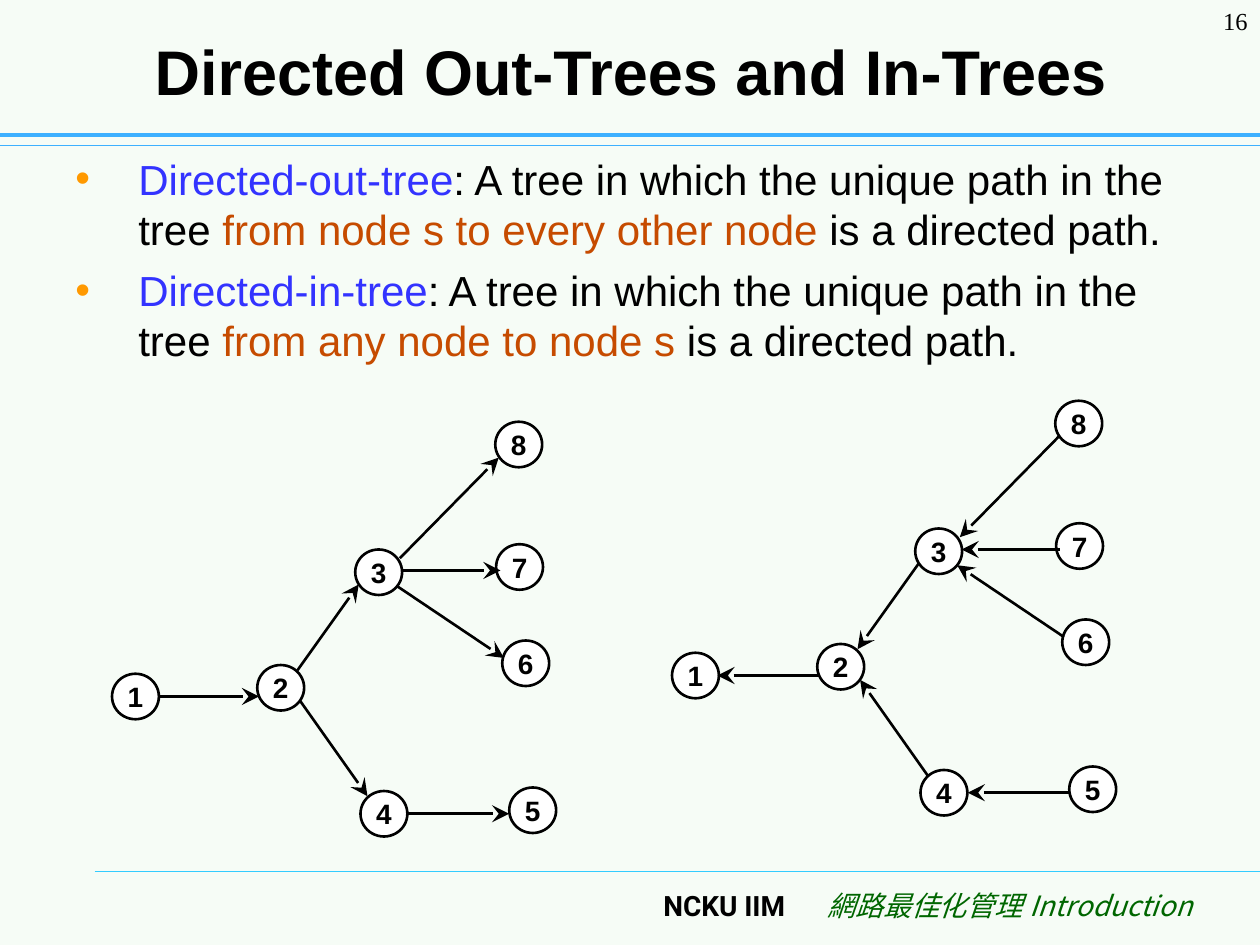
import pptx
import pptx.dml.color
import pptx.enum.shapes
import pptx.enum.text
import pptx.oxml
import pptx.oxml.ns
import pptx.util

Pt = pptx.util.Pt
ALIGN = pptx.enum.text.PP_ALIGN
ANCHOR = pptx.enum.text.MSO_ANCHOR
LINE = pptx.enum.shapes.MSO_CONNECTOR.STRAIGHT
OVAL = pptx.enum.shapes.MSO_SHAPE.OVAL

THEME = {
    "back": "F6FCF6", "ink": "000000", "node": "FFFFFF",
    "rule": "3DB0FF", "foot": "33CCFF", "bullet": "FF9900",
    "stroke": 1.5,
    "title": {"name": "Arial", "size": Pt(36), "bold": True, "color": "000000"},
    "text": {"name": "Arial", "size": Pt(24), "color": "000000"},
    "term": {"name": "Arial", "size": Pt(24), "color": "3333FF"},
    "key": {"name": "Arial", "size": Pt(24), "color": "C64B00"},
    "label": {"name": "Arial", "size": Pt(16), "bold": True, "color": "000000"},
    "page": {"name": "Times New Roman", "size": Pt(14), "color": "000000"},
    "school": {"name": "Roboto", "size": Pt(16), "bold": True, "color": "000000"},
    "course": {"name": "Noto Sans CJK SC", "size": Pt(16), "italic": True,
               "color": "006600"},
}

# Each paragraph is a list of (style, text) runs.
TITLE = [[("title", "Directed Out-Trees and In-Trees")]]
PAGE = [[("page", "16")]]
FOOTER = [[("school", "NCKU IIM\t"), ("course", "網路最佳化管理 Introduction")]]
BODY = [
    [("term", term), ("text", ": A tree in which the unique path in the tree "),
     ("key", key), ("text", " is a directed path.")]
    for term, key in [
        ("Directed-out-tree", "from node s to every other node"),
        ("Directed-in-tree", "from any node to node s"),
    ]
]

# Rules: left end, height, colour, weight; all run to the right edge.
RULES = [(54, 498.2, "foot", 0.75), (0, 83.3, "rule", 0.75), (0, 77, "rule", 2.5)]

WIDE, HIGH = 26.8, 26
NODES = {  # left, top
    1: (64, 385), 2: (147, 380), 3: (203, 314), 4: (206, 452),
    5: (291, 450), 6: (287, 366), 7: (283.5, 311), 8: (283, 241),
}
EDGES = [  # from x, y to x, y, pointing away from node 1
    (90, 398, 148, 398), (171.5, 400.5, 210, 455), (170, 383, 205, 334),
    (233, 465, 291, 465), (229.5, 326, 286, 326), (227, 335, 288, 376),
    (228.5, 319, 285, 261.5),
]
# Shift right, shift down, arrowhead end: tailEnd leads out, headEnd leads in.
TREES = [(0, 0, "tailEnd"), (320, -12, "headEnd")]


def color(key):
    return pptx.dml.color.RGBColor.from_string(THEME.get(key, key))


def mark(tag, **attrs):
    node = pptx.oxml.parse_xml(f'<a:{tag} {pptx.oxml.ns.nsdecls("a")}/>')
    for name, value in attrs.items():
        node.set(name, value)
    return node


def write(frame, paras, align=ALIGN.LEFT, prep=None):
    """Fill a text frame with styled runs; prep adds bullets or tabs first."""
    for num, runs in enumerate(paras):
        para = frame.add_paragraph() if num else frame.paragraphs[0]
        para.alignment = align
        if num:
            para.space_before = Pt(6)
        if prep:
            prep(para._p.get_or_add_pPr())
        for style, text in runs:
            run = para.add_run()
            run.text = text
            for name, value in THEME[style].items():
                if name == "color":
                    run.font.color.rgb = color(value)
                else:
                    setattr(run.font, name, value)
            face = THEME[style]["name"]
            run._r.get_or_add_rPr().append(mark("ea", typeface=face))


def box(shapes, area, paras, anchor=ANCHOR.TOP, **kwargs):
    frame = shapes.add_textbox(*map(Pt, area)).text_frame
    frame.word_wrap = True
    frame.vertical_anchor = anchor
    write(frame, paras, **kwargs)


def bullet(props):
    props.set("marL", str(Pt(36)))
    props.set("indent", str(-Pt(36)))
    tint = mark("buClr")
    tint.append(mark("srgbClr", val=THEME["bullet"]))
    props.append(tint)
    props.append(mark("buFont", typeface=THEME["text"]["name"]))
    props.append(mark("buChar", char="•"))


def tab(props):
    stops = mark("tabLst")
    stops.append(mark("tab", pos=str(Pt(93.7)), algn="l"))
    props.append(stops)


def line(shapes, ends, tint, weight, arrow=None):
    link = shapes.add_connector(LINE, *map(Pt, ends))
    link.line.color.rgb = color(tint)
    link.line.width = Pt(weight)
    if arrow:
        tip = mark(arrow, type="stealth", w="lg", len="lg")
        link.line._get_or_add_ln().append(tip)
    link._element.spPr.append(mark("effectLst"))


def disc(shapes, left, top, num):
    node = shapes.add_shape(OVAL, Pt(left), Pt(top), Pt(WIDE), Pt(HIGH))
    node.shadow.inherit = False
    node.fill.solid()
    node.fill.fore_color.rgb = color("node")
    node.line.color.rgb = color("ink")
    node.line.width = Pt(THEME["stroke"])
    frame = node.text_frame
    for side in ("left", "right", "top", "bottom"):
        setattr(frame, f"margin_{side}", 0)
    frame.word_wrap = False
    frame.vertical_anchor = ANCHOR.MIDDLE
    write(frame, [[("label", str(num))]], ALIGN.CENTER)


def tree(slide, right, down, arrow):
    shapes = slide.shapes.add_group_shape().shapes
    for num, (left, top) in NODES.items():
        disc(shapes, left + right, top + down, num)
    for x1, y1, x2, y2 in EDGES:
        ends = (x1 + right, y1 + down, x2 + right, y2 + down)
        # A headEnd arrow sits at the start, so it points back to node 1.
        line(shapes, ends, "ink", THEME["stroke"], arrow)


def main():
    deck = pptx.Presentation()
    deck.slide_width, deck.slide_height = Pt(720), Pt(540)
    slide = deck.slides.add_slide(deck.slide_layouts[6])
    slide.background.fill.solid()
    slide.background.fill.fore_color.rgb = color("back")
    shapes = slide.shapes

    for left, y, tint, weight in RULES:
        line(shapes, (left, y, 720, y), tint, weight)
    box(shapes, (372, 504, 340, 36), FOOTER, prep=tab)
    box(shapes, (660, 0, 60, 36), PAGE, align=ALIGN.RIGHT)
    box(shapes, (36.5, 9, 648, 62.5), TITLE, ANCHOR.MIDDLE, align=ALIGN.CENTER)
    box(shapes, (36, 84, 654, 144), BODY, prep=bullet)
    for right, down, arrow in TREES:
        tree(slide, right, down, arrow)
    deck.save("out.pptx")


if __name__ == "__main__":
    main()
